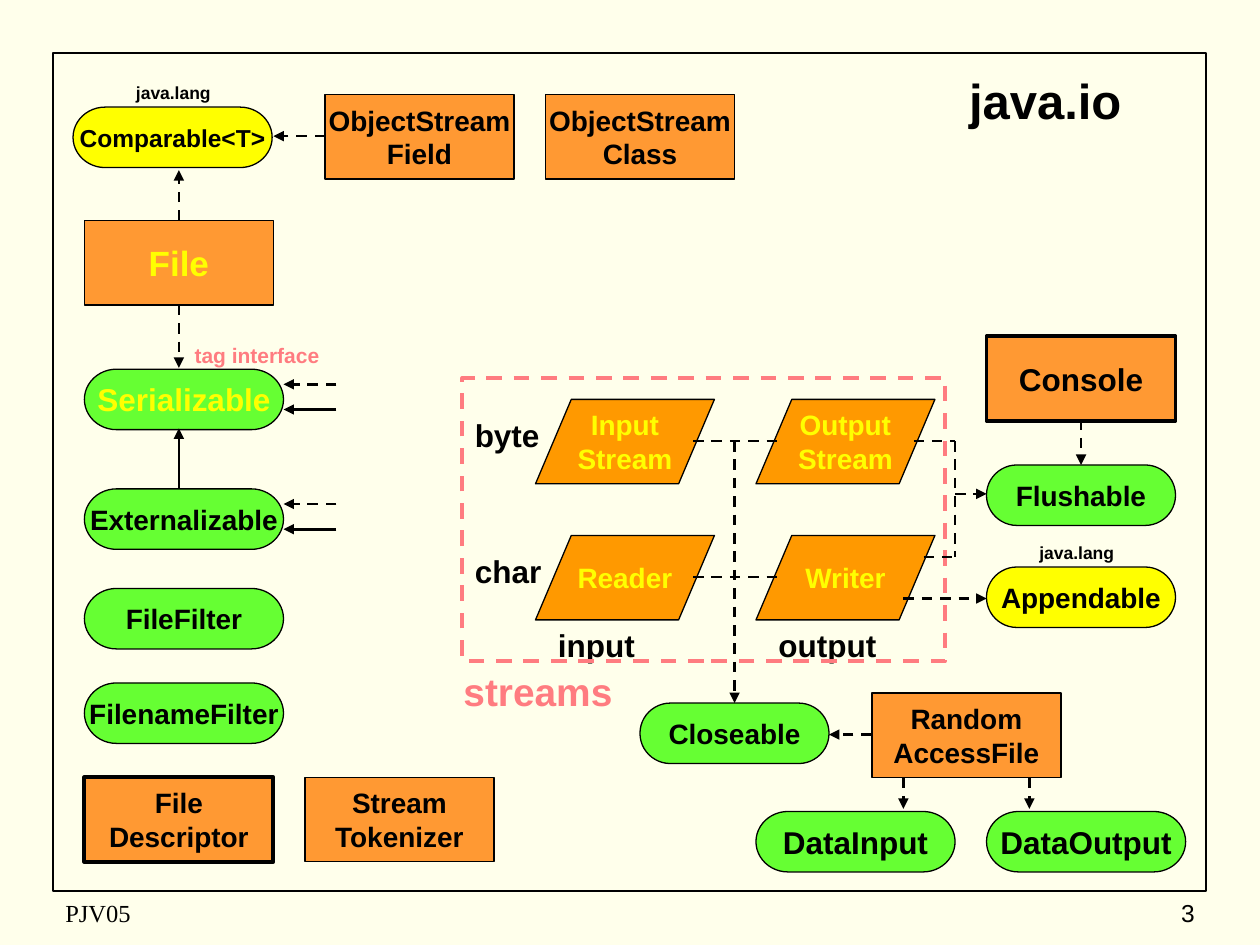
from dataclasses import dataclass
from typing import Any

from lxml import etree
from pptx import Presentation
from pptx import util as u
from pptx.dml import color
from pptx.enum import dml, shapes, text
from pptx.oxml import ns

BLACK, YELLOW, PINK = "000000", "FFFF00", "FF7C80"
ORANGE, AMBER, GREEN = "FF9933", "FF9900", "66FF33"
SHAPE = shapes.MSO_SHAPE
ALIGN = text.PP_ALIGN
ANCHOR = text.MSO_ANCHOR


def rgb(value):
    return color.RGBColor.from_string(value)


def write(shape, lines, size, ink=BLACK, align=ALIGN.CENTER, anchor=ANCHOR.MIDDLE,
          wrap=False, name="Arial", bold=True):
    frame = shape.text_frame
    frame.word_wrap = wrap
    frame.vertical_anchor = anchor
    formats = {"name": name, "size": u.Pt(size), "bold": bold}
    for index, line in enumerate(lines.split("\n")):
        paragraph = frame.add_paragraph() if index else frame.paragraphs[0]
        paragraph.alignment = align
        run = paragraph.add_run()
        run.text = line
        for key, value in formats.items():
            setattr(run.font, key, value)
        run.font.color.rgb = rgb(ink)


@dataclass
class Region:
    slide: Any
    left: float
    top: float

    def place(self, x, y):
        return u.Inches(self.left + x), u.Inches(self.top + y)

    def node(self, kind, x, y, width, height, fill=None, line=BLACK, weight=0.75):
        shape = self.slide.shapes.add_shape(
            kind, *self.place(x, y), u.Inches(width), u.Inches(height))
        shape.shadow.inherit = False
        if fill:
            shape.fill.solid()
            shape.fill.fore_color.rgb = rgb(fill)
        else:
            shape.fill.background()
        shape.line.color.rgb = rgb(line)
        shape.line.width = u.Pt(weight)
        return shape

    def class_box(self, x, y, lines, size=16, ink=BLACK, weight=0.75):
        shape = self.node(SHAPE.FLOWCHART_PROCESS, x, y, 1.5, 0.67, ORANGE, weight=weight)
        write(shape, lines, size, ink)

    def stream_box(self, x, y, lines):
        shape = self.node(SHAPE.FLOWCHART_DATA, x, y, 1.42, 0.67, AMBER)
        write(shape, lines, 16, YELLOW)

    def interface(self, x, y, name, size=16, width=1.58, fill=GREEN, ink=BLACK):
        shape = self.node(SHAPE.FLOWCHART_TERMINATOR, x, y, width, 0.48, fill)
        write(shape, name, size, ink)

    def label(self, x, y, width, height, words, size, ink=BLACK,
              align=ALIGN.LEFT, anchor=ANCHOR.TOP, **formats):
        box = self.slide.shapes.add_textbox(
            *self.place(x, y), u.Inches(width), u.Inches(height))
        write(box, words, size, ink, align, anchor, wrap=True, **formats)

    def link(self, start, end, dashed=True, arrow=True):
        connector = self.slide.shapes.add_connector(
            shapes.MSO_CONNECTOR.STRAIGHT, *self.place(*start), *self.place(*end))
        connector.line.color.rgb = rgb(BLACK)
        connector.line.width = u.Pt(1.5)
        if dashed:
            connector.line.dash_style = dml.MSO_LINE.DASH
        if arrow:
            outline = connector.line._get_or_add_ln()
            etree.SubElement(outline, ns.qn("a:tailEnd"), type="triangle")
        etree.SubElement(connector._element.spPr, ns.qn("a:effectLst"))


def add_page(slide, left, top):
    page = Region(slide, left, top)
    page.node(SHAPE.RECTANGLE, 0, 0, 9.15, 6.65, weight=1)
    page.label(6.5, 0.08, 2.75, 0.58, "java.io", 28,
               align=ALIGN.CENTER, anchor=ANCHOR.MIDDLE)
    page.label(0, 6.66, 3.17, 0.33, "PJV05", 14, anchor=ANCHOR.MIDDLE,
               name="Times New Roman", bold=False)
    page.label(7.08, 6.66, 2.08, 0.33, "3", 14, align=ALIGN.RIGHT,
               anchor=ANCHOR.MIDDLE, bold=False)


def add_file_column(slide, left, top):
    column = Region(slide, left, top)
    column.label(0.08, 0, 1.25, 0.27, "java.lang", 10, align=ALIGN.CENTER)
    column.interface(-0.09, 0.25, "Comparable<T>", 14, fill=YELLOW)
    column.class_box(0, 1.15, "File", 20, YELLOW)
    column.label(0.58, 2.07, 1.58, 0.3, "tag interface", 12, PINK, ALIGN.CENTER)
    column.interface(0, 2.33, "Serializable", 18, ink=YELLOW)
    for y, name in ((3.28, "Externalizable"), (4.07, "FileFilter"),
                    (4.82, "FilenameFilter")):
        column.interface(0, y, name)
    column.class_box(0, 5.57, "File\nDescriptor", weight=2.25)
    column.class_box(1.75, 5.57, "Stream\nTokenizer")
    column.link((0.75, 1.15), (0.75, 0.75))
    column.link((0.75, 1.82), (0.75, 2.32))
    column.link((0.75, 3.28), (0.75, 2.8), dashed=False)
    for y in (2.45, 3.4):
        column.link((2, y), (1.58, y))
        column.link((2, y + 0.2), (1.58, y + 0.2), dashed=False)


def add_object_streams(slide, left, top):
    row = Region(slide, left, top)
    for x, name in ((0.41, "Field"), (2.16, "Class")):
        row.class_box(x, 0, f"ObjectStream\n{name}")
    row.link((0.41, 0.33), (0, 0.33))


def add_streams(slide, left, top):
    grid = Region(slide, left, top)
    rows = (("byte", "Input\nStream", "Output\nStream"), ("char", "Reader", "Writer"))
    for index, (unit, source, target) in enumerate(rows):
        y = 0.17 + index * 1.08
        grid.label(0, y + 0.08, 0.83, 0.5, unit, 18)
        grid.stream_box(0.58, y, source)
        grid.stream_box(2.33, y, target)
        grid.link((1.83, y + 0.33), (2.5, y + 0.33), arrow=False)
    for x, direction in ((0.66, "input"), (2.41, "output")):
        grid.label(x, 1.92, 1.25, 0.42, direction, 18)
    frame = grid.node(SHAPE.RECTANGLE, 0, 0, 3.83, 2.25, line=PINK, weight=2.25)
    frame.line.dash_style = dml.MSO_LINE.DASH
    grid.label(-0.09, 2.25, 1.58, 0.5, "streams", 22.2, PINK)


def add_output_targets(slide, left, top):
    targets = Region(slide, left, top)
    targets.class_box(0.66, 0, "Console", 18, weight=2.25)
    targets.interface(0.66, 1.02, "Flushable", width=1.5)
    targets.label(0.75, 1.58, 1.25, 0.27, "java.lang", 10, align=ALIGN.CENTER)
    targets.interface(0.66, 1.83, "Appendable", width=1.5, fill=YELLOW)
    for start, end in (((0.08, 0.83), (0.41, 0.83)), ((0.16, 1.75), (0.41, 1.75)),
                       ((0.41, 0.83), (0.41, 1.75))):
        targets.link(start, end, arrow=False)
    for start, end in (((0.41, 1.25), (0.66, 1.25)), ((0, 2.08), (0.66, 2.08)),
                       ((1.41, 0.66), (1.41, 1.02))):
        targets.link(start, end)


def add_random_access(slide, left, top):
    group = Region(slide, left, top)
    group.interface(0, 0.08, "Closeable", width=1.5)
    group.class_box(1.84, 0, "Random\nAccessFile")
    group.interface(0.92, 0.94, "DataInput", 18)
    group.interface(2.75, 0.94, "DataOutput", 18)
    group.link((1.84, 0.33), (1.5, 0.33))
    group.link((0.75, -2), (0.75, 0.08))
    for x in (2.09, 3.09):
        group.link((x, 0.67), (x, 0.92))


def main():
    presentation = Presentation()
    presentation.slide_width = u.Inches(10)
    presentation.slide_height = u.Inches(7.5)
    slide = presentation.slides.add_slide(presentation.slide_layouts[6])
    slide.background.fill.solid()
    slide.background.fill.fore_color.rgb = rgb("FFFFEB")
    add_page(slide, 0.42, 0.42)
    add_file_column(slide, 0.67, 0.6)
    add_object_streams(slide, 2.17, 0.75)
    add_streams(slide, 3.67, 3)
    add_output_targets(slide, 7.17, 2.67)
    add_random_access(slide, 5.08, 5.5)
    presentation.save("out.pptx")


if __name__ == "__main__":
    main()
